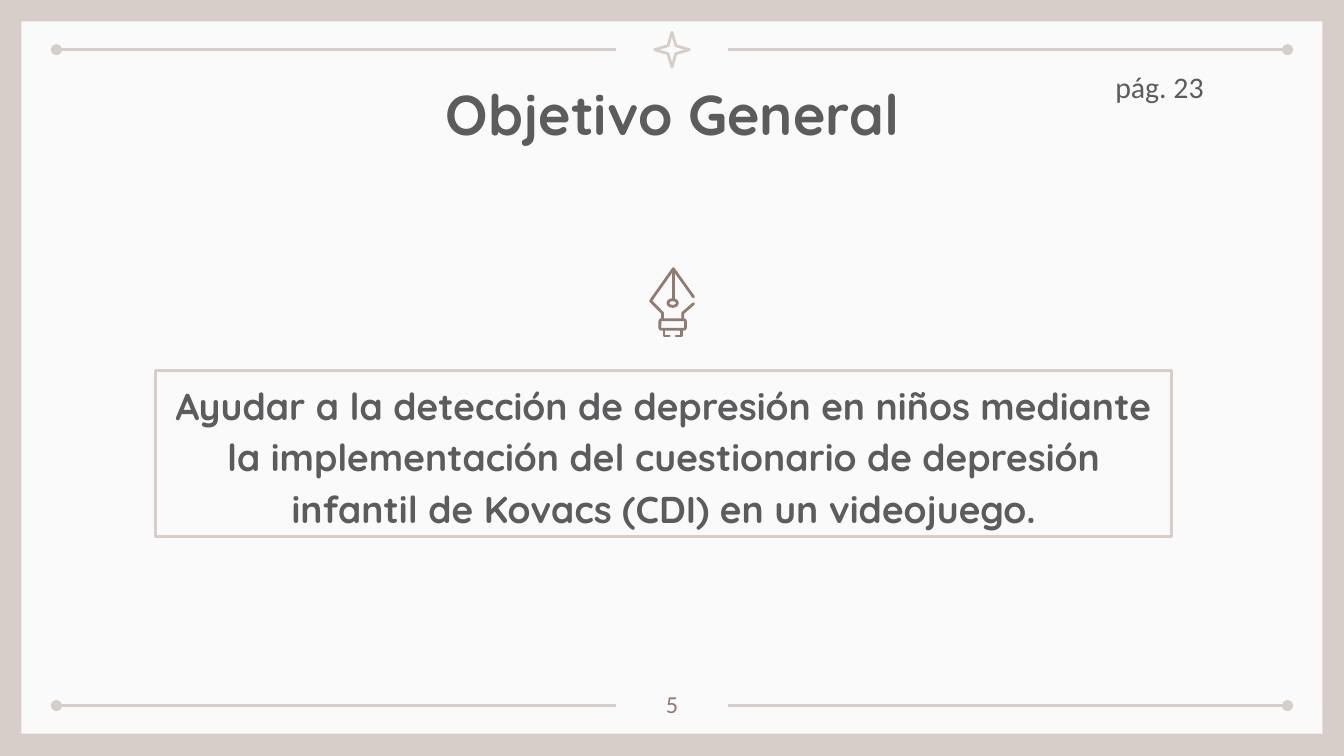
from lxml import etree
from pptx import Presentation, util as u
from pptx.dml.color import RGBColor
from pptx.enum import shapes, text
from pptx.oxml.ns import qn

SAND = RGBColor(0xD8, 0xCE, 0xC9)
PAPER = RGBColor(0xFA, 0xFA, 0xFA)
GRAY = RGBColor(0x5C, 0x5C, 0x5F)
BROWN = RGBColor(0x92, 0x7C, 0x71)
KIND = shapes.MSO_SHAPE
TOP, MID = text.MSO_ANCHOR.TOP, text.MSO_ANCHOR.MIDDLE
LEFT, CENTER = text.PP_ALIGN.LEFT, text.PP_ALIGN.CENTER

NIB = [
    [(5.16, 2.21), (5.01, 2), (4.84, 2.24), (4.93, 2.33), (4.93, 2.38)],
    [(5.16, 2.26), (5.08, 2.33), (5.08, 2.38)],
    [(5.01, 2), (5.01, 2.23)],
    [(4.94, 2.45), (4.94, 2.5), (4.98, 2.5)],
    [(5.07, 2.45), (5.07, 2.5), (5.03, 2.5)],
]


def paint(shape, fill=None, line=None):
    shape.shadow.inherit = False
    if fill is None:
        shape.fill.background()
    else:
        shape.fill.solid()
        shape.fill.fore_color.rgb = fill
    if line is None:
        shape.line.fill.background()
    else:
        shape.line.color.rgb = line
        shape.line.width = u.Pt(1.5)


def add_box(slide, kind, box, fill=None, line=None):
    shape = slide.shapes.add_shape(kind, *map(u.Inches, box))
    paint(shape, fill, line)
    return shape


def add_rule(slide, left, right, y, end):
    """Draw a level line with a dot at the named end."""
    rule = slide.shapes.add_connector(
        shapes.MSO_CONNECTOR.STRAIGHT, *map(u.Inches, (left, y, right, y)))
    rule.line.color.rgb = SAND
    rule.line.width = u.Pt(1.5)
    etree.SubElement(rule.line._get_or_add_ln(), qn(end), type="oval")
    etree.SubElement(rule._element.spPr, qn("a:effectLst"))


def write(shape, words, size, font, color, bold=False,
          align=CENTER, anchor=TOP, space=1.0):
    frame = shape.text_frame
    frame.word_wrap = True
    frame.vertical_anchor = anchor
    frame.margin_left = frame.margin_right = u.Inches(0.1)
    frame.margin_top = frame.margin_bottom = u.Inches(0.1)
    para = frame.paragraphs[0]
    para.alignment = align
    para.line_spacing = space
    run = para.add_run()
    run.text = words
    run.font.size = u.Pt(size)
    run.font.name = font
    run.font.bold = bold
    run.font.color.rgb = color


def add_text(slide, box, *args, **opts):
    write(slide.shapes.add_textbox(*map(u.Inches, box)), *args, **opts)


def add_nib(slide):
    strokes = [[(u.Inches(x), u.Inches(y)) for x, y in stroke] for stroke in NIB]
    pen = slide.shapes.build_freeform(*strokes[0][0])
    for i, (start, *rest) in enumerate(strokes):
        if i:
            pen.move_to(*start)
        pen.add_line_segments(rest, close=False)
    nib = pen.convert_to_shape()
    paint(nib, line=BROWN)
    edge = nib.line._get_or_add_ln()
    edge.set("cap", "rnd")
    etree.SubElement(edge, qn("a:round"))
    add_box(slide, KIND.OVAL, (4.97, 2.23, 0.07, 0.05), line=BROWN)
    add_box(slide, KIND.ROUNDED_RECTANGLE, (4.91, 2.38, 0.19, 0.07), line=BROWN)


def main():
    deck = Presentation()
    deck.slide_width = u.Inches(10)
    deck.slide_height = deck.slide_width * 9 // 16
    slide = deck.slides.add_slide(deck.slide_layouts[6])
    slide.background.fill.solid()
    slide.background.fill.fore_color.rgb = SAND

    add_box(slide, KIND.RECTANGLE, (0.16, 0.16, 9.68, 5.3), fill=PAPER)
    for y in (0.37, 5.25):
        add_rule(slide, 0.42, 4.58, y, "a:headEnd")
        add_rule(slide, 5.42, 9.58, y, "a:tailEnd")
    star = add_box(slide, KIND.STAR_4_POINT, (4.87, 0.24, 0.26, 0.26), line=SAND)
    star.adjustments[0] = 0.16

    add_text(slide, (0.79, 0.49, 8.43, 0.63), "Objetivo General",
             30, "Quicksand", GRAY, bold=True)
    goal = add_box(slide, KIND.RECTANGLE, (1.16, 2.76, 7.56, 1.23), line=SAND)
    write(goal, "Ayudar a la detección de depresión en niños mediante la "
          "implementación del cuestionario de depresión infantil de Kovacs "
          "(CDI) en un videojuego.",
          20, "Quicksand", GRAY, bold=True, anchor=MID, space=1.15)
    add_text(slide, (4.7, 5.03, 0.6, 0.36), "5", 13, "Calibri", BROWN)
    add_nib(slide)
    add_text(slide, (8.2, 0.41, 1.35, 0.45), "pág. 23",
             16, "Calibri", GRAY, align=LEFT)
    deck.save("out.pptx")


if __name__ == "__main__":
    main()
